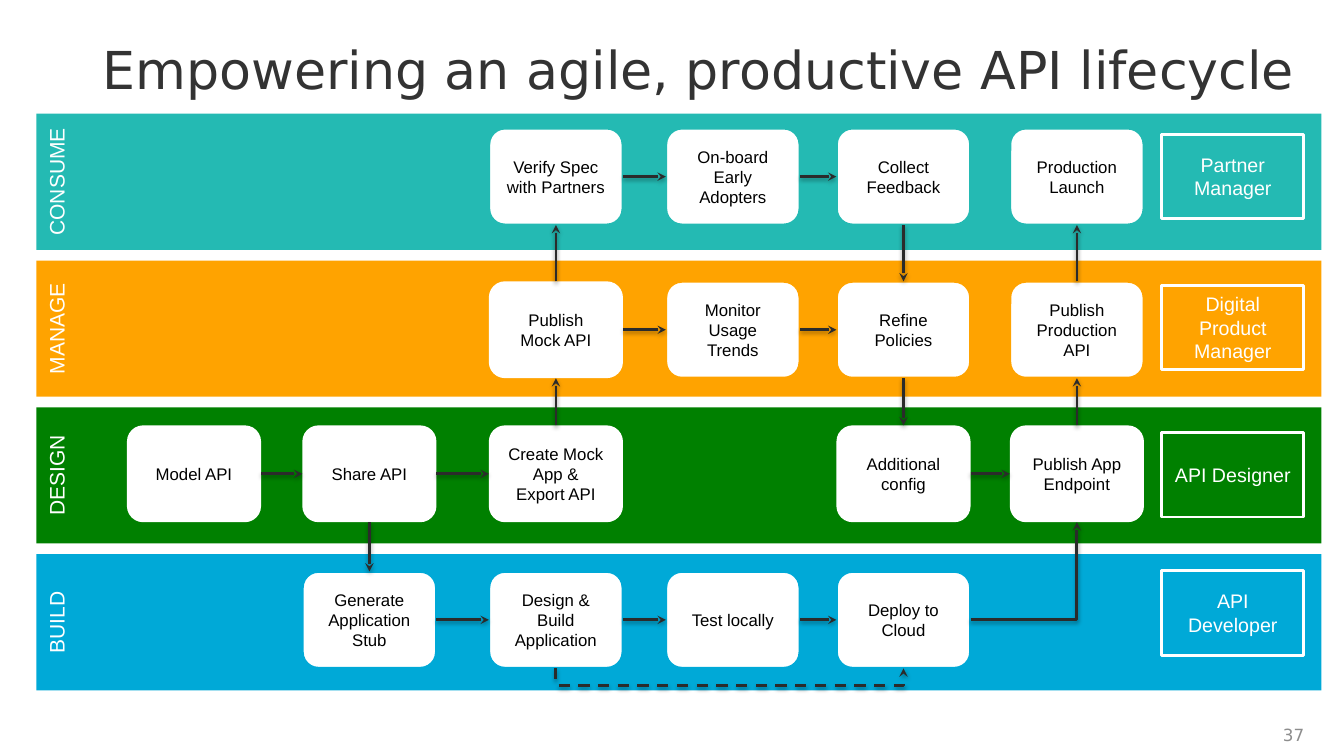
from dataclasses import dataclass

from pptx import Presentation
from pptx.dml.color import RGBColor
from pptx.enum.dml import MSO_LINE
from pptx.enum.shapes import MSO_CONNECTOR, MSO_SHAPE
from pptx.enum.text import MSO_ANCHOR, PP_ALIGN
from pptx.oxml import parse_xml
from pptx.oxml.ns import nsdecls, qn
from pptx.util import Cm, Pt

RECT, ROUNDED = MSO_SHAPE.RECTANGLE, MSO_SHAPE.FLOWCHART_ALTERNATE_PROCESS
STRAIGHT, ELBOW = MSO_CONNECTOR.STRAIGHT, MSO_CONNECTOR.ELBOW
TOP, MIDDLE = MSO_ANCHOR.TOP, MSO_ANCHOR.MIDDLE
LEFT, CENTER, RIGHT = PP_ALIGN.LEFT, PP_ALIGN.CENTER, PP_ALIGN.RIGHT
DASH = MSO_LINE.DASH
SITE_TOP, SITE_LEFT, SITE_BOTTOM, SITE_RIGHT = range(4)


@dataclass(frozen=True)
class Theme:
    white: RGBColor = RGBColor(0xFF, 0xFF, 0xFF)
    black: RGBColor = RGBColor(0, 0, 0)
    heading: RGBColor = RGBColor(0x33, 0x33, 0x33)
    number: RGBColor = RGBColor(0x8D, 0x8D, 0x8D)
    arrow: RGBColor = RGBColor(0x2B, 0x2B, 0x2B)
    consume: RGBColor = RGBColor(0x24, 0xBA, 0xB3)
    manage: RGBColor = RGBColor(0xFF, 0xA3, 0x00)
    design: RGBColor = RGBColor(0x00, 0x80, 0x00)
    build: RGBColor = RGBColor(0x00, 0xA9, 0xD7)
    heading_font: str = "DejaVu Sans"
    body_font: str = "Arial"
    heading_size: Pt = Pt(37.3)
    lane_size: Pt = Pt(15)
    role_size: Pt = Pt(14)
    step_size: Pt = Pt(12)
    line_width: Pt = Pt(2)


theme = Theme()


def write(shape, text, size, color, font=theme.body_font, align=CENTER,
          anchor=MIDDLE, inset=(0.33, 0.18)):
    frame = shape.text_frame
    frame.text = text
    frame.word_wrap = True
    frame.vertical_anchor = anchor
    frame.margin_left = frame.margin_right = Cm(inset[0])
    frame.margin_top = frame.margin_bottom = Cm(inset[1])
    for paragraph in frame.paragraphs:
        paragraph.alignment = align
        for run in paragraph.runs:
            run.font.size, run.font.name = size, font
            run.font.color.rgb = color


def connect(kind, source, source_site, target, target_site):
    arrow = slide.shapes.add_connector(kind, 0, 0, 0, 0)
    arrow.begin_connect(source, source_site)
    arrow.end_connect(target, target_site)
    arrow.line.color.rgb = theme.arrow
    arrow.line.width = theme.line_width
    properties = arrow.element.spPr
    properties.find(qn("a:ln")).append(
        parse_xml(f'<a:tailEnd {nsdecls("a")} type="stealth"/>'))
    properties.append(parse_xml(
        f'<a:effectLst {nsdecls("a")}>'
        '<a:outerShdw blurRad="40000" dist="20000" dir="5400000" rotWithShape="0">'
        '<a:srgbClr val="000000"><a:alpha val="37000"/></a:srgbClr>'
        '</a:outerShdw></a:effectLst>'))
    return arrow


presentation = Presentation()
presentation.slide_width, presentation.slide_height = Cm(33.87), Cm(19.05)
slide = presentation.slides.add_slide(presentation.slide_layouts[6])

page_number = slide.shapes.add_textbox(Cm(25.5), Cm(18.01), Cm(7.62), Cm(1.02))
write(page_number, "37", theme.step_size, theme.number, theme.heading_font,
      RIGHT, inset=(0.25, 0.13))

lanes = [
    ("CONSUME", theme.consume, 3.23, "Partner Manager", 3.38,
     {2: "Verify Spec with Partners", 3: "On-board Early Adopters",
      4: "Collect Feedback", 5: "Production Launch"}),
    ("MANAGE", theme.manage, 7.09, "Digital Product Manager", 7.19,
     {2: "Publish Mock API", 3: "Monitor Usage Trends",
      4: "Refine Policies", 5: "Publish Production API"}),
    ("DESIGN", theme.design, 10.72, "API Designer", 10.9,
     {0: "Model API", 1: "Share API", 2: "Create Mock App & Export API",
      4: "Additional config", 5: "Publish App Endpoint"}),
    ("BUILD", theme.build, 14.4, "API Developer", 14.38,
     {1: "Generate Application\nStub", 2: "Design & Build Application",
      3: "Test locally", 4: "Deploy to Cloud"}),
]
column_lefts = [3.2, 7.62, 12.32, 16.78, 21.08, 25.45]
lane_thickness, lane_length, lane_pitch = 3.43, 32.38, 3.7
lane_center_x, first_lane_center_y = 17.11, 4.58
steps = {}

for row, (lane_name, color, step_top, role, role_top, lane_steps) in enumerate(lanes):
    lane = slide.shapes.add_shape(
        RECT, Cm(lane_center_x - lane_thickness / 2),
        Cm(first_lane_center_y + row * lane_pitch - lane_length / 2),
        Cm(lane_thickness), Cm(lane_length))
    lane.rotation = 270
    lane.shadow.inherit = False
    lane.fill.solid()
    lane.fill.fore_color.rgb = color
    lane.line.fill.background()
    write(lane, lane_name, theme.lane_size, theme.white, anchor=TOP)

    for column, label in lane_steps.items():
        step = slide.shapes.add_shape(
            ROUNDED, Cm(column_lefts[column]), Cm(step_top), Cm(3.38), Cm(2.44))
        step.shadow.inherit = False
        step.fill.solid()
        step.fill.fore_color.rgb = theme.white
        if lane_name == "DESIGN" or label == "Publish Mock API":
            step.line.fill.background()
        else:
            step.line.color.rgb = color
            step.line.width = theme.line_width
        write(step, label, theme.step_size, theme.black)
        steps[lane_name, column] = step

    role_box = slide.shapes.add_shape(
        RECT, Cm(29.28), Cm(role_top), Cm(3.58), Cm(2.13))
    role_box.shadow.inherit = False
    role_box.fill.solid()
    role_box.fill.fore_color.rgb = color
    role_box.line.color.rgb = theme.white
    role_box.line.width = theme.line_width
    write(role_box, role, theme.role_size, theme.white)

for (lane_name, column), step in steps.items():
    following = steps.get((lane_name, column + 1))
    if following and (lane_name, column) not in [("CONSUME", 4), ("MANAGE", 4)]:
        connect(STRAIGHT, step, SITE_RIGHT, following, SITE_LEFT)

upward = [("DESIGN", "MANAGE", 2), ("MANAGE", "CONSUME", 2),
          ("DESIGN", "MANAGE", 5), ("MANAGE", "CONSUME", 5)]
downward = [("DESIGN", "BUILD", 1), ("CONSUME", "MANAGE", 4), ("MANAGE", "DESIGN", 4)]
for lower, upper, column in upward:
    connect(STRAIGHT, steps[lower, column], SITE_TOP, steps[upper, column], SITE_BOTTOM)
for upper, lower, column in downward:
    connect(STRAIGHT, steps[upper, column], SITE_BOTTOM, steps[lower, column], SITE_TOP)

deploy, rebuild = steps["BUILD", 4], steps["BUILD", 2]
release = connect(ELBOW, deploy, SITE_RIGHT, steps["DESIGN", 5], SITE_BOTTOM)
release.element.spPr.find(qn("a:prstGeom")).set("prst", "bentConnector2")

iteration = connect(ELBOW, deploy, SITE_BOTTOM, rebuild, SITE_BOTTOM)
iteration.line.dash_style = DASH
span, sliver = deploy.left - rebuild.left, Cm(0.01)
iteration.left = rebuild.left + (rebuild.width + span - sliver) // 2
iteration.top = rebuild.top + rebuild.height - span // 2
iteration.width, iteration.height = sliver, span
turn = iteration.element.spPr.find(qn("a:xfrm"))
turn.attrib.pop("flipH", None)
turn.set("rot", "5400000")
bend = iteration.element.spPr.find(qn("a:prstGeom"))
bend.get_or_add_avLst().append(
    parse_xml(f'<a:gd {nsdecls("a")} name="adj1" fmla="val 4300000"/>'))

title = slide.shapes.add_textbox(Cm(2.34), Cm(0.99), Cm(30.89), Cm(2.67))
write(title, "Empowering an agile, productive API lifecycle", theme.heading_size,
      theme.heading, theme.heading_font, LEFT, TOP, (0.25, 0.13))
title.text_frame.paragraphs[0].line_spacing = 0.9

presentation.save("out.pptx")
